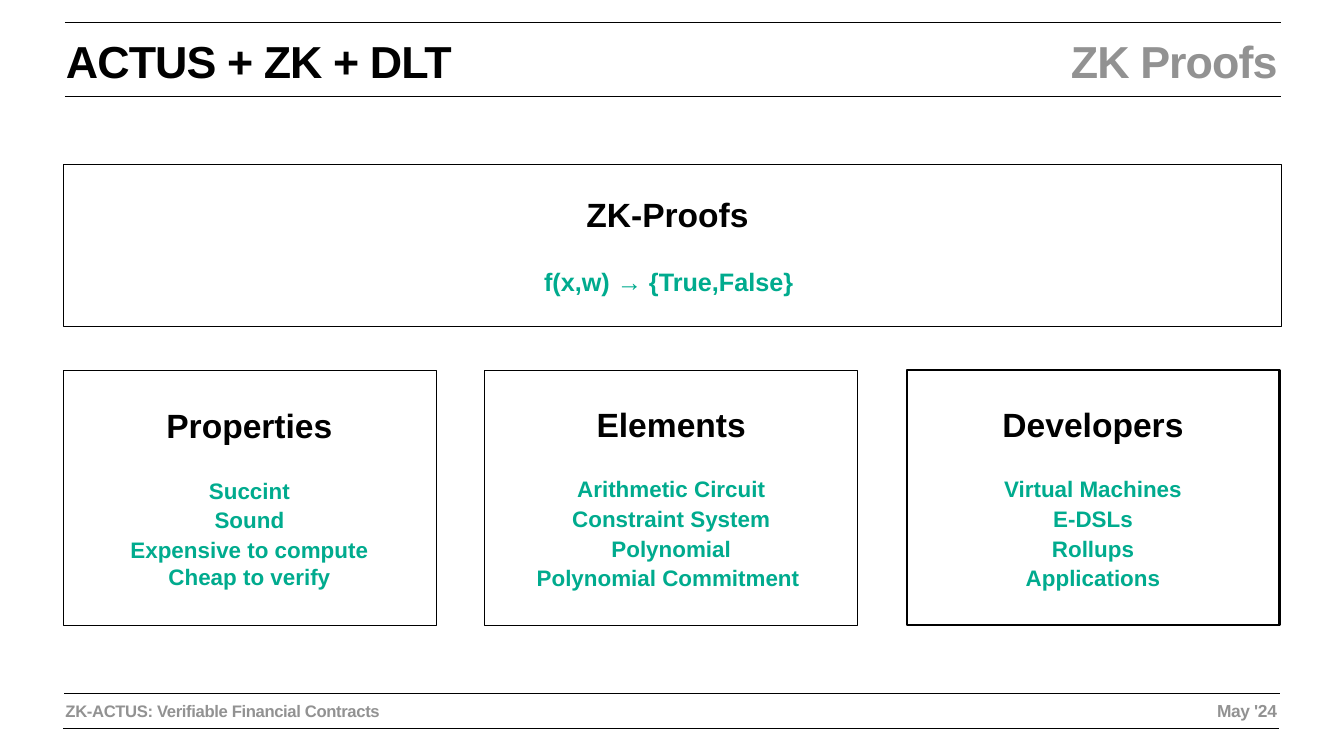
from dataclasses import dataclass

from lxml.etree import SubElement
from pptx import Presentation
from pptx.dml.color import RGBColor
from pptx.enum.shapes import MSO_CONNECTOR as Connector, MSO_SHAPE as Shape
from pptx.enum.text import MSO_ANCHOR as Anchor, PP_ALIGN as Align
from pptx.oxml.ns import qn
from pptx.util import Pt

EMU_PER_PX = 9144


@dataclass(frozen=True)
class Theme:
    """Colours, type sizes and spacing of the slide."""

    font: str = "Arial"
    ink: str = "000000"
    paper: str = "FFFFFF"
    muted: str = "929292"
    accent: str = "00AB8E"
    title: float = 64
    heading: float = 48
    formula: float = 36
    item: float = 32
    footer: float = 23.8
    date: float = 24.8
    title_tracking: float = -1.3
    footer_tracking: float = -0.5
    line_gap: float = 4
    heading_gap: float = 45
    inset: int = 6


THEME = Theme()

CARDS = [
    ("Properties", ["Succint", "Sound", "Expensive to compute\nCheap to verify"], 1),
    ("Elements", ["Arithmetic Circuit", "Constraint System", "Polynomial",
                  "Polynomial Commitment "], 1),
    ("Developers", ["Virtual Machines", "E-DSLs", "Rollups", "Applications"], 3),
]
CARD_LEFT, CARD_STEP = 125, 837


def px(*lengths):
    """Turn px lengths into a list of EMU."""
    return [length * EMU_PER_PX for length in lengths]


def add_run(paragraph, text, size, color, tracking=0):
    """Add bold text, with a line break at each newline."""
    for index, line in enumerate(text.split("\n")):
        if index:
            paragraph.add_line_break()
        run = paragraph.add_run()
        run.text = line
        run.font.name = THEME.font
        run.font.size = Pt(size)
        run.font.bold = True
        run.font.color.rgb = RGBColor.from_string(color)
        if tracking:
            run._r.get_or_add_rPr().set("spc", str(round(tracking * 100)))


def set_frame(frame, anchor):
    """Set wrapping, anchor and insets of a text frame."""
    frame.word_wrap = True
    frame.vertical_anchor = anchor
    inset, = px(THEME.inset)
    frame.margin_left = frame.margin_right = inset
    frame.margin_top = frame.margin_bottom = inset


def add_rule(shapes, left, top, width):
    """Add a thin horizontal line."""
    rule = shapes.add_connector(Connector.STRAIGHT, *px(left, top, left + width, top))
    rule.line.color.rgb = RGBColor.from_string(THEME.ink)
    rule.line.width = Pt(1)
    SubElement(rule._element.spPr, qn("a:effectLst"))


def add_label(shapes, box, text, size, color, tracking, align=Align.LEFT):
    """Add a one-line text box."""
    frame = shapes.add_textbox(*px(*box)).text_frame
    set_frame(frame, Anchor.BOTTOM)
    paragraph = frame.paragraphs[0]
    paragraph.alignment = align
    add_run(paragraph, text, size, color, tracking)


def add_card(shapes, box, heading, items, item_size, border=1):
    """Add an outlined box with a heading above centred items."""
    card = shapes.add_shape(Shape.RECTANGLE, *px(*box))
    card.shadow.inherit = False
    card.fill.solid()
    card.fill.fore_color.rgb = RGBColor.from_string(THEME.paper)
    card.line.color.rgb = RGBColor.from_string(THEME.ink)
    card.line.width = Pt(border)
    frame = card.text_frame
    set_frame(frame, Anchor.MIDDLE)
    paragraph = frame.paragraphs[0]
    paragraph.alignment = Align.CENTER
    paragraph.space_before = Pt(THEME.line_gap)
    add_run(paragraph, heading, THEME.heading, THEME.ink)
    for index, item in enumerate(items):
        paragraph = frame.add_paragraph()
        paragraph.alignment = Align.CENTER
        paragraph.space_before = Pt(THEME.line_gap if index else THEME.heading_gap)
        add_run(paragraph, item, item_size, THEME.accent)


def add_header(slide):
    """Add the title band between two rules."""
    shapes = slide.shapes.add_group_shape().shapes
    for top in (192, 45):
        add_rule(shapes, 129, top, 2413)
    add_label(shapes, (125, 57, 1104, 122), "ACTUS + ZK + DLT",
              THEME.title, THEME.ink, THEME.title_tracking)
    add_label(shapes, (874, 57, 1667, 122), "ZK Proofs",
              THEME.title, THEME.muted, THEME.title_tracking, Align.RIGHT)


def add_footer(slide):
    """Add the footer band between two rules."""
    shapes = slide.shapes.add_group_shape().shapes
    for left, top in ((126, 1446), (128, 1375)):
        add_rule(shapes, left, top, 2413)
    add_label(shapes, (124, 1384, 1104, 52), "ZK-ACTUS: Verifiable Financial Contracts",
              THEME.footer, THEME.muted, THEME.footer_tracking)
    add_label(shapes, (1367, 1384, 1173, 53), "May '24",
              THEME.date, THEME.muted, THEME.footer_tracking, Align.RIGHT)


def main():
    """Build the slide and save it."""
    presentation = Presentation()
    presentation.slide_width, presentation.slide_height = px(2667, 1500)
    slide = presentation.slides.add_slide(presentation.slide_layouts[6])
    add_header(slide)
    add_card(slide.shapes, (126, 327, 2416, 320), "ZK-Proofs ",
             ["f(x,w) → {True,False} "], THEME.formula)
    for column, (heading, items, border) in enumerate(CARDS):
        box = (CARD_LEFT + column * CARD_STEP, 734, 740, 506)
        add_card(slide.shapes, box, heading, items, THEME.item, border)
    add_footer(slide)
    presentation.save("out.pptx")


if __name__ == "__main__":
    main()
